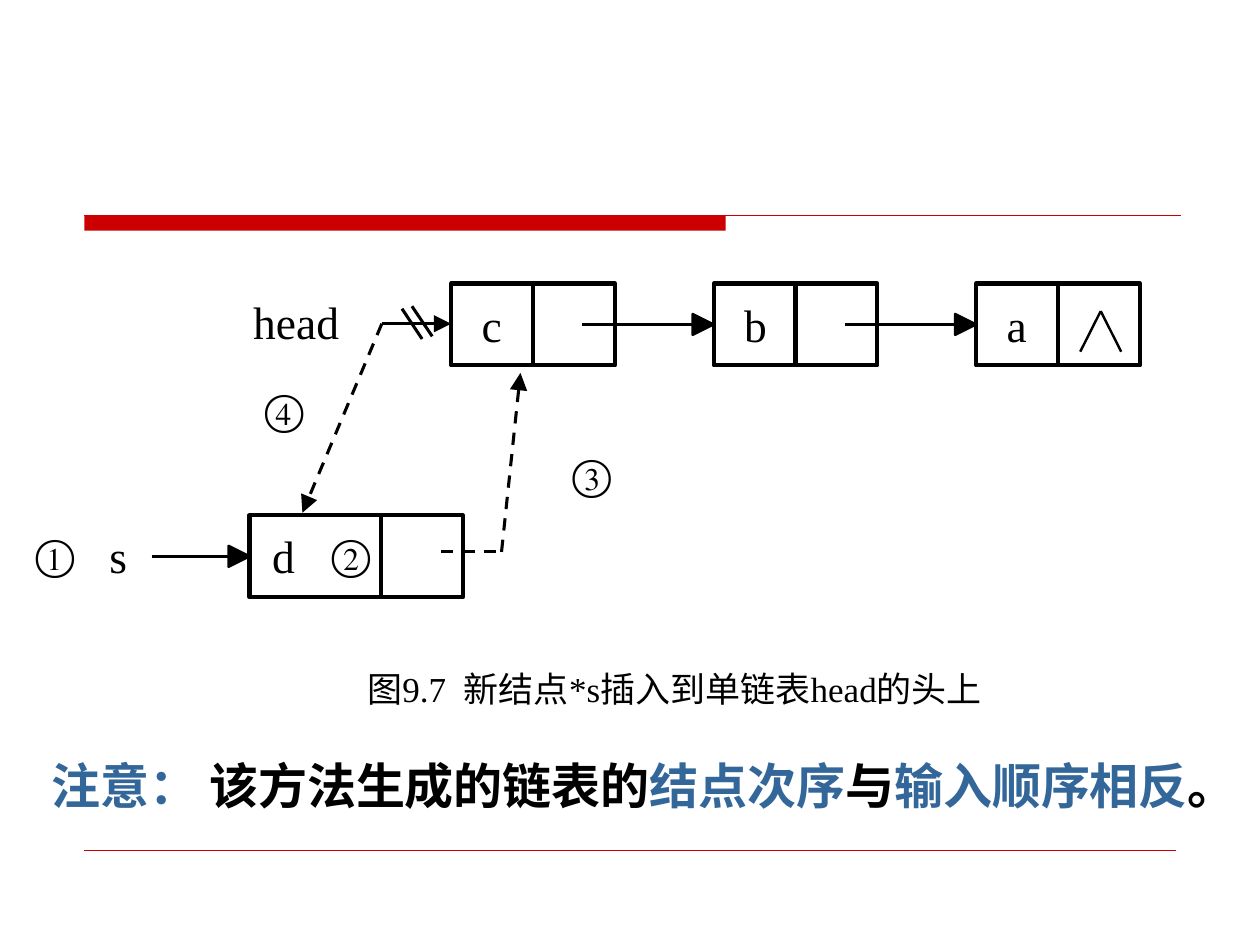
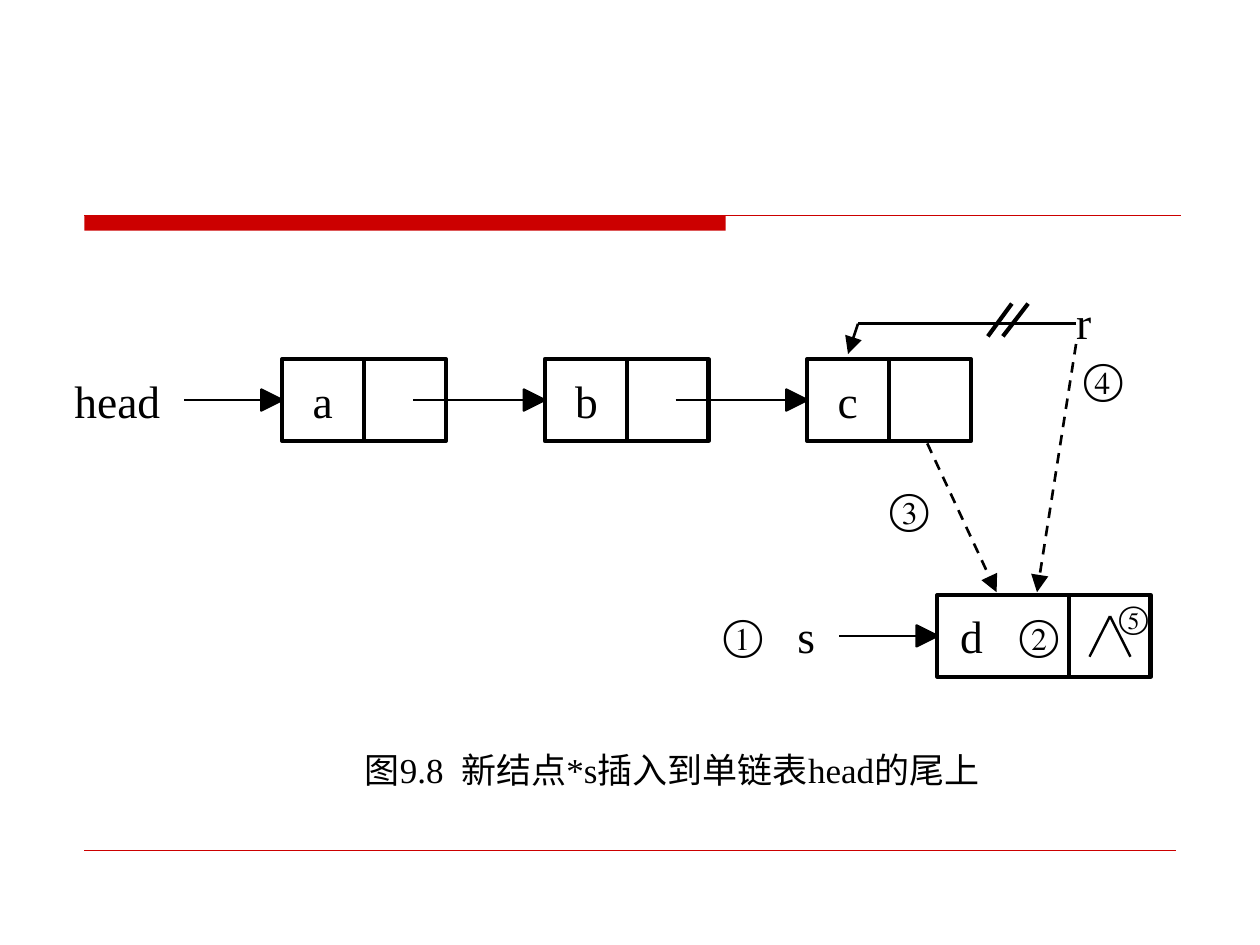
from lxml import etree
from pptx import Presentation
from pptx.dml.color import RGBColor
from pptx.enum.dml import MSO_LINE_DASH_STYLE as DASH
from pptx.enum.shapes import MSO_CONNECTOR as CONN, MSO_SHAPE as SHAPE
from pptx.enum.text import PP_ALIGN as ALIGN
from pptx.oxml.ns import qn
from pptx.util import Pt

BLACK = RGBColor(0x00, 0x00, 0x00)
WHITE = RGBColor(0xFF, 0xFF, 0xFF)
RED = RGBColor(0xCC, 0x00, 0x00)
BLUE = RGBColor(0x33, 0x66, 0x99)
SERIF = "Times New Roman"
SANS = "Noto Sans CJK SC"

CELL = 46.8
NODE_STEP = 150
NEW_DATA_W = 75
BORDER = 2.38
THIN = 1.39
HEAD = 12
LEAD = 56
CAPTION_GAP = 5
LABEL_W = {"head": 60, "a": 16, "b": 16, "c": 16, "d": 16, "s": 16, "r": 16}
CIRCLED_W = 26

SLIDES = [
    {
        "nodes": ("cba", 257.8, 162),
        "lead_in": False,
        "new_node": (142.6, 294.5),
        "labels": [("head", 144.7, 167.8, 26), ("③", 326.9, 256.3, 24),
                   ("④", 151.2, 218.9, 24)],
        "null_mark": (629, 177.8),
        "lines": [
            ((252, 315.4), (286.6, 315.4), 1.75, True, False),
            ((286.6, 315.4), (297.4, 213.1), 1.75, True, True),
            ((218.2, 185), (257.8, 185), 1.75, False, True),
            ((218.2, 185), (172.8, 293), 1.75, True, True),
            ((235.4, 175), (247, 192.2), 1.75, False, False),
            ((229.7, 176.4), (241.2, 193.7), 1.75, False, False),
        ],
        "caption": ("图9.7", "新结点*s插入到单链表head的头上", 121.7, 378),
        "note": [("注意： ", BLUE), ("该方法生成的链表的", BLACK), ("结点次序", BLUE),
                 ("与", BLACK), ("输入顺序相反", BLUE), ("。", BLACK)],
    },
    {
        "nodes": ("abc", 161.3, 205.2),
        "lead_in": True,
        "new_node": (535.7, 340),
        "labels": [("head", 42.5, 213.1, 26), ("r", 614.9, 167.8, 26),
                   ("③", 508.3, 275.8, 24), ("④", 619.2, 201.6, 24),
                   ("⑤", 639.4, 342, 18)],
        "null_mark": (634.3, 352.1),
        "lines": [
            ((564.5, 192.2), (578.2, 173.5), BORDER, False, False),
            ((573.1, 192.2), (587.5, 173.5), BORDER, False, False),
            ((529.9, 253.4), (569.5, 338.4), 1.5, True, True),
            ((614.9, 196.6), (592.6, 338.4), 1.5, True, True),
            ((614.9, 185), (490.3, 185), 1.5, False, False),
            ((490.3, 185), (484.6, 202.3), 1.5, False, True),
        ],
        "caption": ("图9.8", "新结点*s插入到单链表head的尾上", 120.2, 424.1),
        "note": [],
    },
]


def add_line(s, start, end, width, dashed=False, arrow=False, color=BLACK):
    cx = s.shapes.add_connector(CONN.STRAIGHT, *(Pt(v) for v in (*start, *end)))
    cx.line.color.rgb = color
    cx.line.width = Pt(width)
    if dashed:
        cx.line.dash_style = DASH.DASH
    if arrow:
        etree.SubElement(cx.line._get_or_add_ln(), qn("a:tailEnd"),
                         type="triangle", w="lg", len="lg")
    etree.SubElement(cx._element.spPr, qn("a:effectLst"))


def paint(sp, fill, line=None, width=0):
    sp.shadow.inherit = False
    sp.fill.solid()
    sp.fill.fore_color.rgb = fill
    if line is None:
        sp.line.fill.background()
    else:
        sp.line.color.rgb = line
        sp.line.width = Pt(width)


def add_rect(s, x, y, w, h, fill=WHITE, line=BLACK):
    sp = s.shapes.add_shape(SHAPE.RECTANGLE, Pt(x), Pt(y), Pt(w), Pt(h))
    paint(sp, fill, line, BORDER)


def add_text(s, x, y, w, h, runs, size, font=SERIF, east_font=SANS, bold=False,
             wrap=True, insets=(7.2, 3.6), align=ALIGN.LEFT):
    tf = s.shapes.add_textbox(Pt(x), Pt(y), Pt(w), Pt(h)).text_frame
    tf.word_wrap = wrap
    tf.margin_left = tf.margin_right = Pt(insets[0])
    tf.margin_top = tf.margin_bottom = Pt(insets[1])
    p = tf.paragraphs[0]
    p.alignment = align
    for text, color in runs:
        r = p.add_run()
        r.text = text
        r.font.size = Pt(size)
        r.font.bold = bold
        r.font.color.rgb = color
        r.font.name = font
        etree.SubElement(r.font._element, qn("a:ea"), typeface=east_font)
    return p


def add_label(s, text, x, y, size):
    w = LABEL_W.get(text, CIRCLED_W * size / 24)
    add_text(s, x, y, w, size * 1.2, [(text, BLACK)], size, east_font=SERIF,
             wrap=False, insets=(0, 0))


def add_caption(s, number, title, x, y):
    runs = [(text, BLACK) for text in (number, " ", title)]
    p = add_text(s, x, y, 527.8, 31.7, runs, 20, align=ALIGN.CENTER)
    p.runs[1].font._element.set("spc", str(CAPTION_GAP * 100))


def add_pointer(s, x1, x2, y):
    add_line(s, (x1, y), (x2 - HEAD + 2, y), THIN)
    fb = s.shapes.build_freeform(Pt(x2 - HEAD), Pt(y - HEAD / 2))
    fb.add_line_segments([(Pt(x2), Pt(y)), (Pt(x2 - HEAD), Pt(y + HEAD / 2))])
    paint(fb.convert_to_shape(), BLACK, BLACK, THIN)


def add_frame(s):
    add_rect(s, 48.2, 123.1, 366.5, 8.7, RED, None)
    add_line(s, (48.2, 123.1), (674.6, 123.1), 1, color=RED)
    add_line(s, (48.2, 486), (672, 486), 0.25, color=RED)


def add_list(s, names, left, top, lead_in):
    mid = top + CELL / 2
    if lead_in:
        add_pointer(s, left - LEAD, left, mid)
    for i, name in enumerate(names):
        x = left + i * NODE_STEP
        add_rect(s, x, top, CELL, CELL)
        add_label(s, name, x + 17.4, top + 8, 26)
        add_rect(s, x + CELL, top, CELL, CELL)
        if i < len(names) - 1:
            add_pointer(s, x + CELL + 28, x + NODE_STEP, mid)


def add_new_node(s, x, y):
    add_rect(s, x, y, NEW_DATA_W, CELL)
    add_rect(s, x + NEW_DATA_W, y, CELL, CELL)
    add_pointer(s, x - LEAD, x, y + CELL / 2)
    for text, dx, size in (("①", -122.4, 24), ("s", -80, 26), ("d", 13, 26), ("②", 46.8, 24)):
        add_label(s, text, x + dx, y + 7.5, size)


def main():
    prs = Presentation()
    prs.slide_width, prs.slide_height = Pt(720), Pt(540)
    for content in SLIDES:
        s = prs.slides.add_slide(prs.slide_layouts[6])
        add_frame(s)
        add_new_node(s, *content["new_node"])
        add_list(s, *content["nodes"], content["lead_in"])
        px, py = content["null_mark"]
        for dx in (-11.7, 11.7):
            add_line(s, (px, py), (px + dx, py + 23.2), THIN)
        for line in content["lines"]:
            add_line(s, *line)
        for label in content["labels"]:
            add_label(s, *label)
        add_caption(s, *content["caption"])
        if content["note"]:
            add_text(s, 22.3, 428.4, 700.6, 41, content["note"], 28, SANS, bold=True)
    prs.save("out.pptx")


if __name__ == "__main__":
    main()
